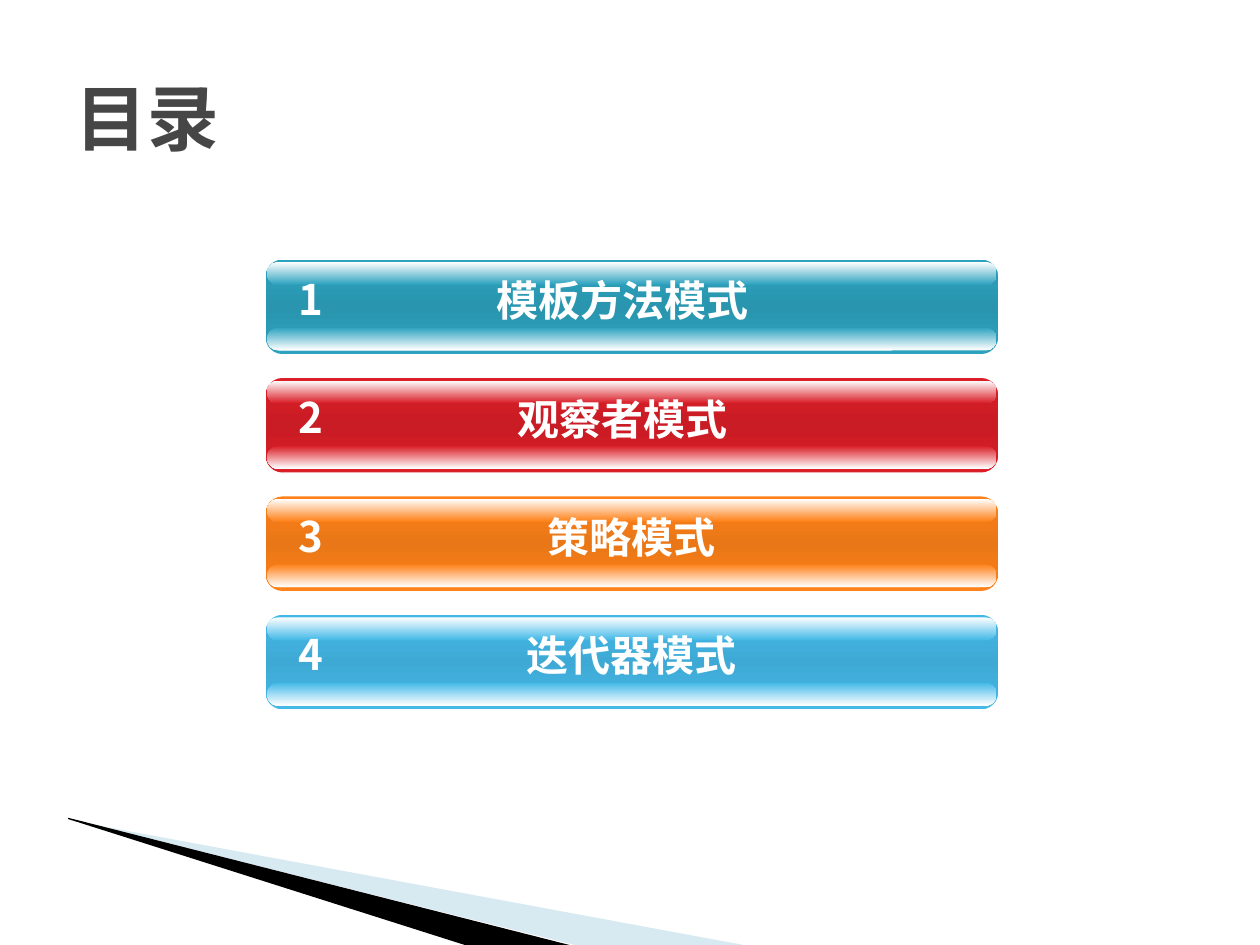
from pptx import Presentation
from pptx.dml.color import RGBColor
from pptx.enum.shapes import MSO_SHAPE as Shape
from pptx.enum.text import MSO_ANCHOR as Anchor, PP_ALIGN as Align
from pptx.oxml.ns import qn
from pptx.util import Inches, Pt
from copy import deepcopy
from lxml.etree import SubElement

WHITE = RGBColor(0xFF, 0xFF, 0xFF)
BLACK = RGBColor(0x00, 0x00, 0x00)
GRAY = RGBColor(0x46, 0x46, 0x46)
PALE = RGBColor(0x9D, 0xCA, 0xDC)
TEAL = RGBColor(0x2D, 0xA2, 0xBF)
DARK_TEAL = RGBColor(0x29, 0x95, 0xAF)
RED = RGBColor(0xDA, 0x1F, 0x28)
DARK_RED = RGBColor(0xC9, 0x1C, 0x24)
ORANGE = RGBColor(0xFF, 0x81, 0x19)
DARK_ORANGE = RGBColor(0xE9, 0x77, 0x17)
SKY = RGBColor(0x44, 0xB9, 0xE8)
DARK_SKY = RGBColor(0x3E, 0xA9, 0xD5)

CELL = Inches(0.1)
COLUMNS, ROWS = 100, 75
FONT = "Noto Sans CJK SC"
TITLE_FORMAT = {"size": Pt(41), "bold": True, "name": FONT}
ITEM_FORMAT = {"size": Pt(24), "bold": True, "name": FONT}
FIRST_ROW, ROW_STEP = 20.6, 9.4
ITEMS = [
    ("模板方法模式", TEAL, DARK_TEAL, 4),
    ("观察者模式", RED, DARK_RED, 4),
    ("策略模式", ORANGE, DARK_ORANGE, 2.5),
    ("迭代器模式", SKY, DARK_SKY, 2.5),
]


def grid(*cells):
    return [round(cell * CELL) for cell in cells]


class Deck:
    def __init__(self):
        self.presentation = Presentation()
        self.presentation.slide_width, self.presentation.slide_height = grid(COLUMNS, ROWS)
        self.slide = self.presentation.slides.add_slide(self.presentation.slide_layouts[5])

    def fill_frame(self, frame, text, format_values, color, align):
        paragraph = frame.paragraphs[0]
        paragraph.alignment = align
        run = paragraph.add_run()
        run.text = text
        for name, value in format_values.items():
            setattr(run.font, name, value)
        run.font.color.rgb = color
        SubElement(run.font._element, qn("a:ea"), typeface=FONT)

    def title(self, text, *place):
        shape = self.slide.shapes.title
        shape.left, shape.top, shape.width, shape.height = grid(*place)
        shape.text_frame.vertical_anchor = Anchor.MIDDLE
        self.fill_frame(shape.text_frame, text, TITLE_FORMAT, GRAY, Align.LEFT)

    def text(self, text, place, right_inset=1):
        frame = self.slide.shapes.add_textbox(*grid(*place)).text_frame
        frame.word_wrap = True
        frame.margin_top = frame.margin_bottom = 0
        frame.margin_right = round(right_inset * CELL)
        self.fill_frame(frame, text, ITEM_FORMAT, WHITE, Align.CENTER)

    def wedge(self, points, color, opacity=100):
        start, *others = [grid(*point) for point in points]
        builder = self.slide.shapes.build_freeform(*start)
        builder.add_line_segments(others)
        shape = builder.convert_to_shape()
        shape.shadow.inherit = False
        shape.line.fill.background()
        shape.fill.solid()
        shape.fill.fore_color.rgb = color
        if opacity < 100:
            color_element = shape._element.spPr.find(".//" + qn("a:srgbClr"))
            SubElement(color_element, qn("a:alpha"), val=str(opacity * 1000))

    def rounded(self, group, place, radius, colors):
        shape = group.shapes.add_shape(Shape.ROUNDED_RECTANGLE, *grid(*place))
        shape.adjustments[0] = radius
        shape.shadow.inherit = False
        shape.line.fill.background()
        shape.fill.gradient()
        shape.fill.gradient_angle = 270
        stop_list = shape._element.spPr.find(".//" + qn("a:gsLst"))
        for _ in colors[2:]:
            stop_list.append(deepcopy(stop_list[-1]))
        for index, (stop, color) in enumerate(zip(shape.fill.gradient_stops, colors)):
            stop.position = index / (len(colors) - 1)
            stop.color.rgb = color

    def bar(self, top, color, dark):
        group = self.slide.shapes.add_group_shape()
        self.rounded(group, (21.1, top, 58.1, 7.5), 0.175, (color, dark, color))
        self.rounded(group, (21.2, top + 5.4, 57.9, 1.8), 0.5, (color, WHITE))
        self.rounded(group, (21.2, top + 0.2, 57.9, 1.8), 0.5, (WHITE, color))


def main():
    deck = Deck()
    deck.wedge([(5.5, 65.1), (59, 75), (45.6, 75), (5.5, 65)], PALE, 40)
    deck.wedge([(5.4, 64.9), (45.2, 75), (36.9, 75), (5.4, 65)], BLACK)
    deck.title("目录", 5, 3, 90, 12.5)
    for index, (label, color, dark, right_inset) in enumerate(ITEMS):
        top = FIRST_ROW + index * ROW_STEP
        deck.bar(top, color, dark)
        deck.text(label, (26.3, top + 1.2, 49.2, 5), right_inset)
        deck.text(str(index + 1), (22.6, top + 1.1, 4.2, 5))
    deck.presentation.save("out.pptx")


if __name__ == "__main__":
    main()
